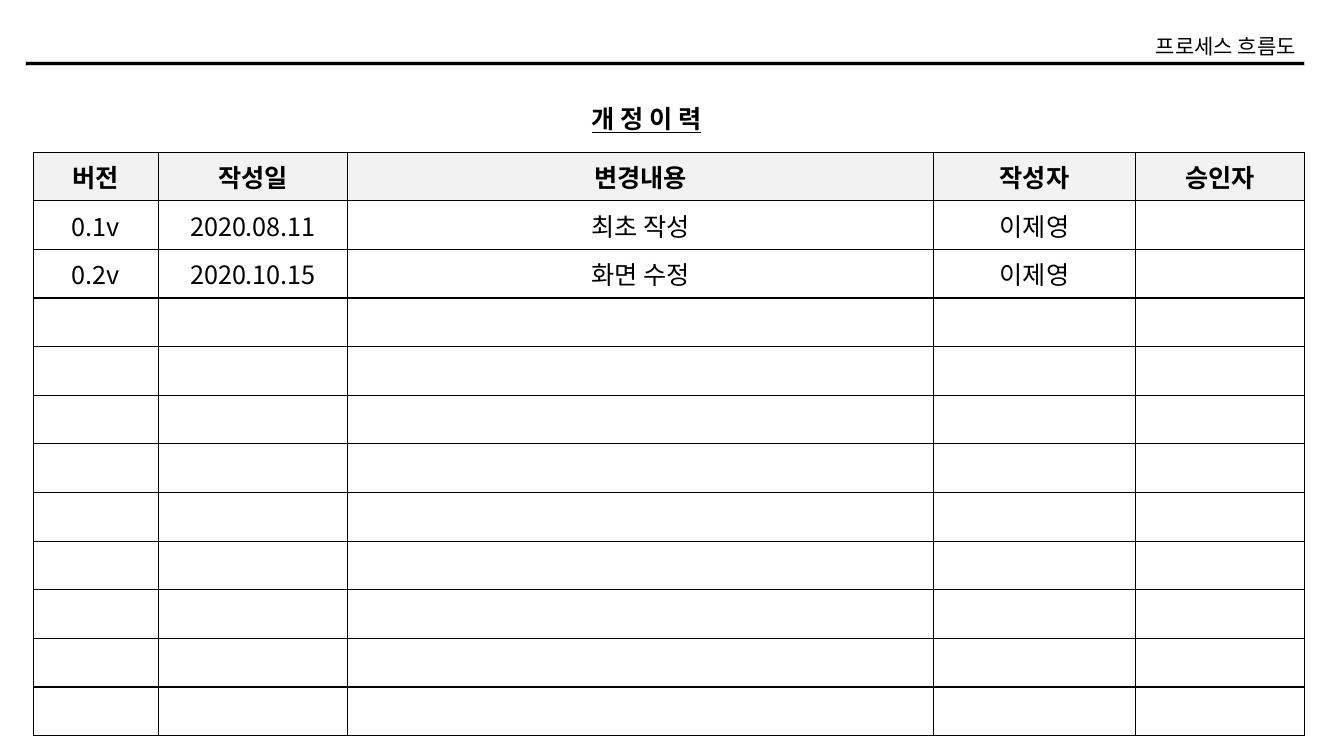
from lxml import etree
from pptx import Presentation
from pptx.enum import shapes, text
from pptx.dml.color import RGBColor
from pptx.oxml.ns import qn
from pptx.util import Inches, Pt

FONT = "Noto Sans CJK KR"
COLORS = {"ink": "000000", "header": "F2F2F2", "rule_edge": "D0CECE"}
SECTION = "프로세스 흐름도"
TITLE = "개 정 이 력"
HEADERS = ["버전", "작성일", "변경내용", "작성자", "승인자"]
REVISIONS = [
    ["0.1v", "2020.08.11", "최초 작성", "이제영", ""],
    ["0.2v", "2020.10.15", "화면 수정", "이제영", ""],
]
ROW_COUNT = 12
COLUMN_WIDTHS = [1.24, 1.88, 5.81, 2, 1.68]
TABLE_LEFT, TABLE_TOP, TABLE_HEIGHT = 0.33, 1.51, 5.79


def color(name):
    return RGBColor.from_string(COLORS[name])


def write(frame, words, size, align, bold=False, underline=False):
    paragraph = frame.paragraphs[0]
    paragraph.text = words
    paragraph.alignment = align
    font = paragraph.font
    font.size = Pt(size)
    font.bold = bold
    font.underline = underline
    font.color.rgb = color("ink")
    font.name = FONT
    properties = paragraph._p.pPr.find(qn("a:defRPr"))
    etree.SubElement(properties, qn("a:ea"), typeface=FONT)


def add_label(slide, box, words, size, align, wrap, **style):
    frame = slide.shapes.add_textbox(*map(Inches, box)).text_frame
    frame.word_wrap = wrap
    frame.auto_size = text.MSO_AUTO_SIZE.SHAPE_TO_FIT_TEXT
    write(frame, words, size, align, **style)


def add_borders(cell):
    properties = cell._tc.get_or_add_tcPr()
    for index, side in enumerate(("lnL", "lnR", "lnT", "lnB")):
        line = etree.Element(qn(f"a:{side}"), w=str(Pt(1)))
        fill = etree.SubElement(line, qn("a:solidFill"))
        etree.SubElement(fill, qn("a:srgbClr"), val=COLORS["ink"])
        properties.insert(index, line)


def add_history(slide):
    table = slide.shapes.add_table(
        ROW_COUNT, len(HEADERS), Inches(TABLE_LEFT), Inches(TABLE_TOP),
        Inches(sum(COLUMN_WIDTHS)), Inches(TABLE_HEIGHT)).table
    table.first_row = False
    table.horz_banding = False
    for column, width in zip(table.columns, COLUMN_WIDTHS):
        column.width = Inches(width)
    blank_rows = [[""] * len(HEADERS)] * (ROW_COUNT - 1 - len(REVISIONS))
    for row_index, values in enumerate([HEADERS] + REVISIONS + blank_rows):
        is_header = row_index == 0
        table.rows[row_index].height = Inches(TABLE_HEIGHT / ROW_COUNT)
        for column_index, value in enumerate(values):
            cell = table.cell(row_index, column_index)
            cell.vertical_anchor = text.MSO_ANCHOR.MIDDLE
            if is_header:
                cell.fill.solid()
                cell.fill.fore_color.rgb = color("header")
            else:
                cell.fill.background()
            write(cell.text_frame, value, 18, text.PP_ALIGN.CENTER, bold=is_header)
            add_borders(cell)


def main():
    presentation = Presentation()
    presentation.slide_width = Inches(13.33)
    presentation.slide_height = Inches(7.5)
    slide = presentation.slides.add_slide(presentation.slide_layouts[6])

    rule = slide.shapes.add_shape(
        shapes.MSO_SHAPE.RECTANGLE, *map(Inches, (0.25, 0.61, 12.69, 0.04)))
    rule.shadow.inherit = False
    rule.fill.solid()
    rule.fill.fore_color.rgb = color("ink")
    rule.line.color.rgb = color("rule_edge")
    rule.line.width = Pt(0.3)

    add_label(slide, (11.2, 0.28, 1.75, 0.35), SECTION, 15,
              text.PP_ALIGN.RIGHT, False)
    add_label(slide, (5.77, 0.98, 1.67, 0.4), TITLE, 18,
              text.PP_ALIGN.LEFT, True, bold=True, underline=True)
    add_history(slide)
    presentation.save("out.pptx")


if __name__ == "__main__":
    main()
